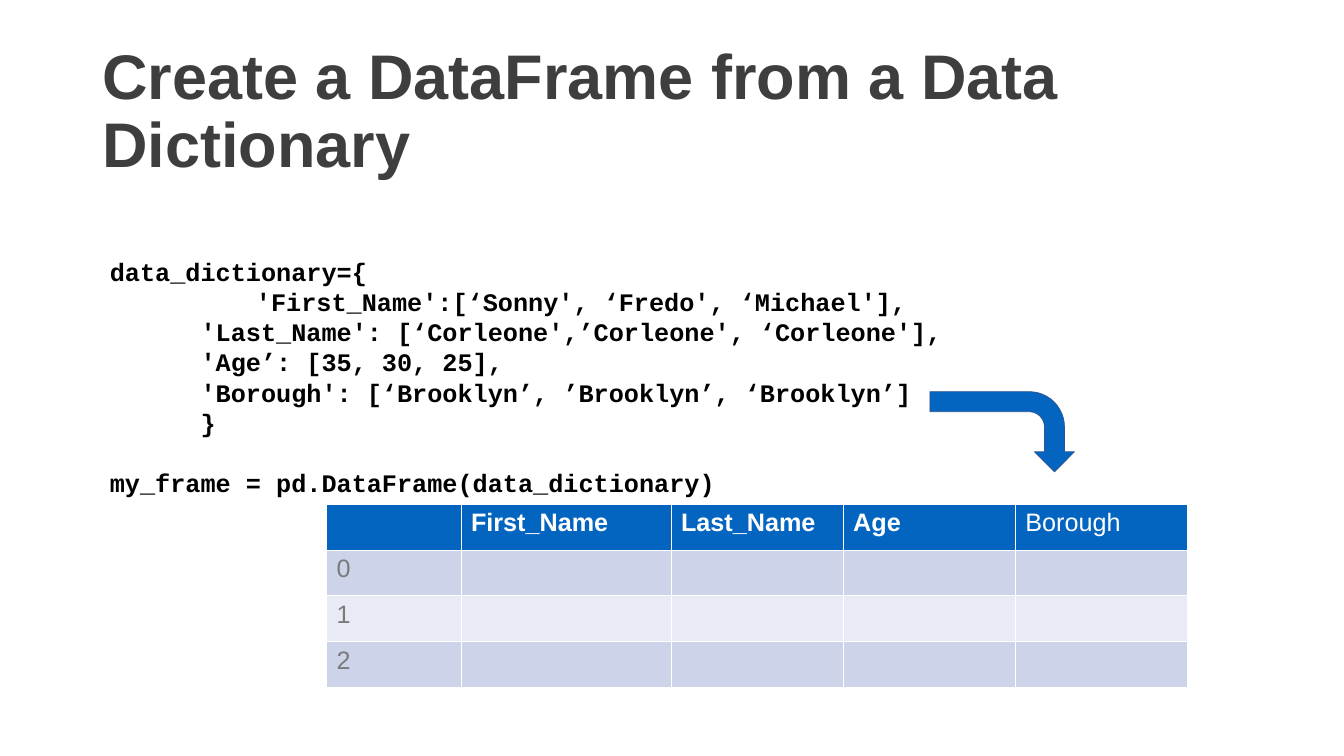
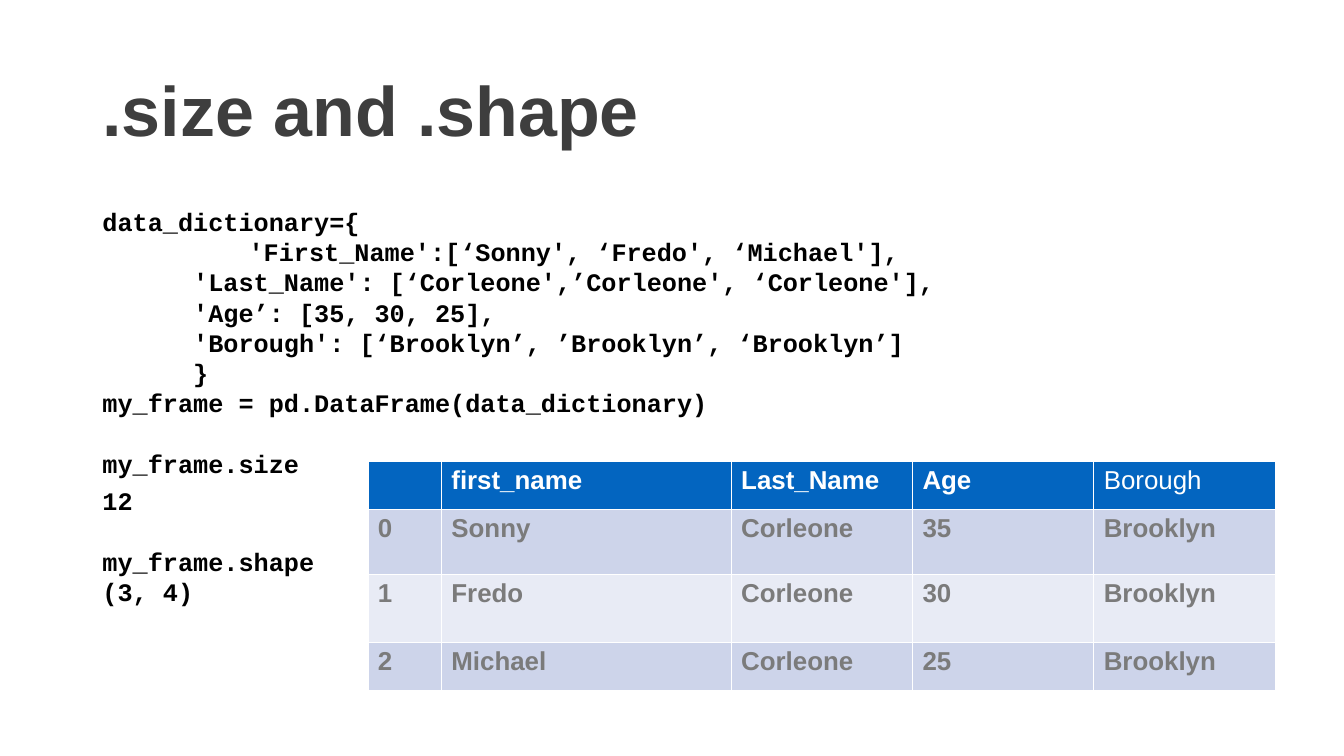
from pptx import Presentation
from pptx.dml.color import RGBColor
from pptx.enum.shapes import MSO_SHAPE as Shape
from pptx.enum.text import MSO_ANCHOR as Anchor
from pptx.util import Pt

BLUE = RGBColor(0x03, 0x65, 0xC0)
ARROW_EDGE = RGBColor(0x31, 0x53, 0x8F)
TITLE_GREY = RGBColor(0x3E, 0x3E, 0x3E)
CELL_GREY = RGBColor(0x7B, 0x7B, 0x7B)
WHITE = RGBColor(0xFF, 0xFF, 0xFF)
BLACK = RGBColor(0x00, 0x00, 0x00)
BANDS = [RGBColor(0xCD, 0xD4, 0xEA), RGBColor(0xE8, 0xEB, 0xF5)]

MARGINS = {"margin_left": Pt(14.4), "margin_right": Pt(14.4),
           "margin_top": Pt(7.2), "margin_bottom": Pt(7.2)}
CODE_LINE = 43.2
CODE_CHAR = 21.6
KEY_INDENT = 6 * CODE_CHAR
FIRST_KEY_INDENT = 2 * 72 + 3 * CODE_CHAR

# Code lines: text, left indent, space before
DICTIONARY = [
    ("data_dictionary={", 0, 0),
    ("'First_Name':[‘Sonny', ‘Fredo', ‘Michael'],", FIRST_KEY_INDENT, 0),
    ("'Last_Name': [‘Corleone',’Corleone', ‘Corleone'],", KEY_INDENT, 0),
    ("'Age’: [35, 30, 25],", KEY_INDENT, 0),
    ("'Borough': [‘Brooklyn’, ’Brooklyn’, ‘Brooklyn’]", KEY_INDENT, 0),
    ("}", KEY_INDENT, 0),
]
MAKE_FRAME = "my_frame = pd.DataFrame(data_dictionary)"

SLIDES = [
    {
        "title": "Create a DataFrame from a Data Dictionary",
        "title_size": 90,
        "code": DICTIONARY + [(MAKE_FRAME, 0, CODE_LINE)],
        "code_area": (142.5, 358.5, 1677, 363.5),
        "table_at": (466.5, 720),
        "columns": [192, 300, 246, 246, 246],
        "heights": [65.5] * 4,
        "cell_size": 36,
        "index_bold": False,
        "rows": [["", "First_Name", "Last_Name", "Age", "Borough"],
                 ["0"] + [""] * 4, ["1"] + [""] * 4, ["2"] + [""] * 4],
        "arrow": (1374.5, 513.5, 114.5, 206.5),
    },
    {
        "title": ".size and .shape",
        "title_size": 100,
        "code": DICTIONARY + [
            (MAKE_FRAME, 0, 0),
            ("my_frame.size", 0, CODE_LINE),
            ("12", 0, 10),
            ("my_frame.shape", 0, CODE_LINE),
            ("(3, 4)", 0, 0),
        ],
        "code_area": (132, 287.5, 1656, 685.5),
        "table_at": (525.5, 659),
        "columns": [105, 414, 259, 259, 259],
        "heights": [68.5, 93, 97, 68.5],
        "cell_size": 37,
        "index_bold": True,
        "rows": [["", "first_name", "Last_Name", "Age", "Borough"],
                 ["0", "Sonny", "Corleone", "35", "Brooklyn"],
                 ["1", "Fredo", "Corleone", "30", "Brooklyn"],
                 ["2", "Michael", "Corleone", "25", "Brooklyn"]],
    },
]


def add_box(page, area):
    frame = page.shapes.add_textbox(*map(Pt, area)).text_frame
    for name, value in {**MARGINS, "word_wrap": True}.items():
        setattr(frame, name, value)
    return frame


def add_span(para, text, size, font, color, bold=True):
    span = para.add_run()
    span.text = text
    for name, value in {"size": Pt(size), "name": font, "bold": bold}.items():
        setattr(span.font, name, value)
    span.font.color.rgb = color


deck = Presentation()
deck.slide_width, deck.slide_height = Pt(1920), Pt(1080)

for content in SLIDES:
    page = deck.slides.add_slide(deck.slide_layouts[6])

    # Title
    frame = add_box(page, (132, 57.5, 1656, 209))
    frame.vertical_anchor = Anchor.MIDDLE
    frame.paragraphs[0].line_spacing = 0.9
    add_span(frame.paragraphs[0], content["title"], content["title_size"],
             "Arial", TITLE_GREY)

    # Code
    frame = add_box(page, content["code_area"])
    for number, (text, indent, before) in enumerate(content["code"]):
        para = frame.add_paragraph() if number else frame.paragraphs[0]
        para.line_spacing = Pt(CODE_LINE)
        para.space_before = Pt(before)
        margin = para._p.get_or_add_pPr()
        margin.set("marL", str(Pt(indent)))
        margin.set("indent", "0")
        add_span(para, text, 36, "Courier New", BLACK)

    # Data frame table
    rows, widths, heights = content["rows"], content["columns"], content["heights"]
    table = page.shapes.add_table(
        len(rows), len(widths), *map(Pt, content["table_at"]),
        Pt(sum(widths)), Pt(sum(heights))).table
    for column, width in zip(table.columns, widths):
        column.width = Pt(width)
    for r, (row, height) in enumerate(zip(rows, heights)):
        table.rows[r].height = Pt(height)
        for c, text in enumerate(row):
            cell = table.cell(r, c)
            for name, value in MARGINS.items():
                setattr(cell, name, value)
            cell.fill.solid()
            cell.fill.fore_color.rgb = BANDS[(r - 1) % 2] if r else BLUE
            if text:
                bold = content["index_bold"] if r else text != "Borough"
                add_span(cell.text_frame.paragraphs[0], text, content["cell_size"],
                         "Arial", CELL_GREY if r else WHITE, bold)

    # Arrow from the code to the table
    if "arrow" in content:
        arrow = page.shapes.add_shape(Shape.BENT_ARROW, *map(Pt, content["arrow"]))
        arrow.rotation = 90
        arrow.adjustments[3] = 0.44
        arrow.shadow.inherit = False
        arrow.fill.solid()
        arrow.fill.fore_color.rgb = BLUE
        arrow.line.color.rgb = ARROW_EDGE
        arrow.line.width = Pt(1)

deck.save("out.pptx")
